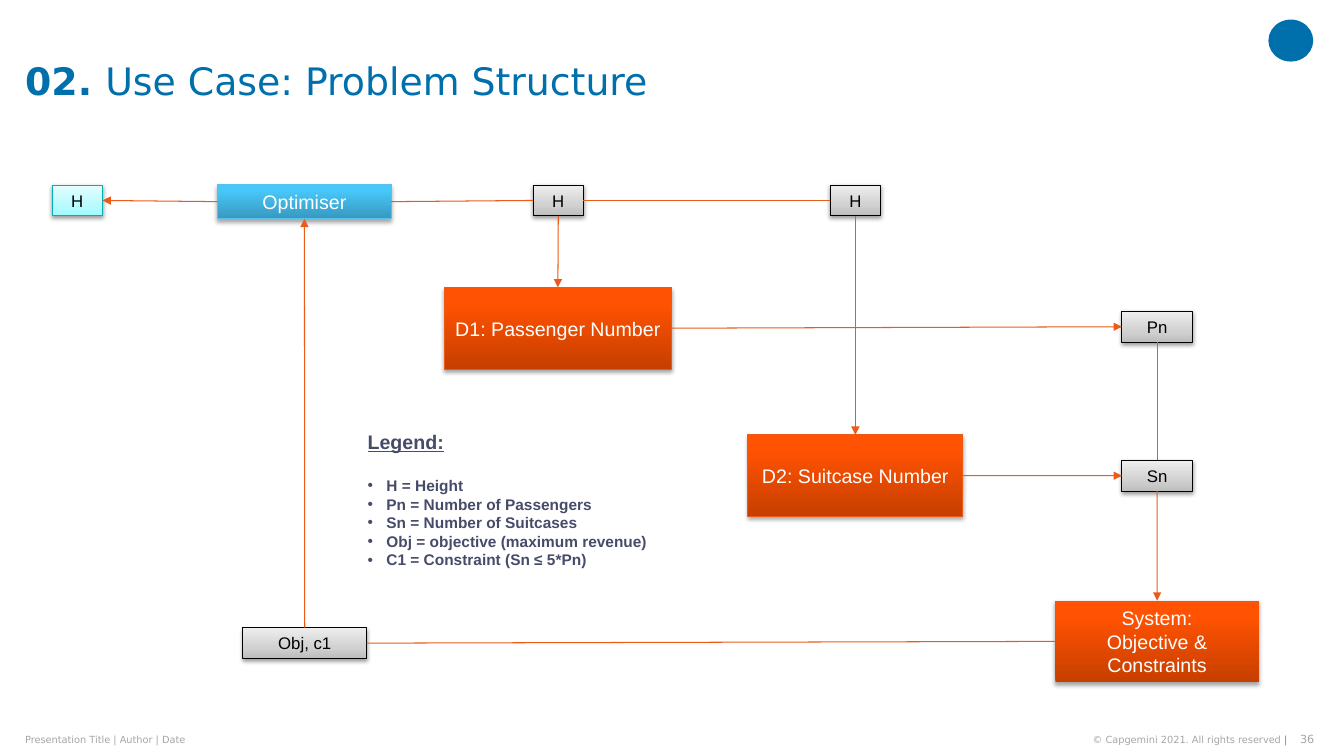
from dataclasses import dataclass

from lxml.etree import SubElement
from pptx import Presentation
from pptx.dml.color import RGBColor as RGB
from pptx.enum.shapes import MSO_CONNECTOR as Line, MSO_SHAPE as Shape
from pptx.enum.text import MSO_ANCHOR as Anchor, PP_ALIGN as Align
from pptx.oxml.ns import qn
from pptx.util import Pt

TOP, LEFT, BOTTOM, RIGHT = range(4)  # connection sites of a rectangle


@dataclass(frozen=True)
class NodeStyle:
    stops: tuple
    line: str
    text: str
    size: float
    shadow: tuple  # alpha %, blur, distance


@dataclass(frozen=True)
class Theme:
    head_font: str = "DejaVu Sans"
    body_font: str = "Arial"
    blue: str = "0070AD"
    sky: str = "12ABDB"
    grey: str = "A6A6A6"
    ink: str = "464B69"
    orange: str = "EB5B18"
    title: float = 27
    legend_head: float = 14
    legend: float = 11
    page: float = 8
    footer: float = 7


T = Theme()
BIG, SMALL = (35, 3.1, 1.8), (38, 3.1, 1.6)
ORANGE_STOPS = ((0, "C63F00"), (80, "FF5202"), (100, "FF5303"))
DISCIPLINE = NodeStyle(ORANGE_STOPS, T.orange, "FFFFFF", 14, BIG)
SYSTEM = NodeStyle(ORANGE_STOPS, "", "FFFFFF", 14, BIG)
OPTIMISER = NodeStyle(((0, "3798BF"), (80, "48C6F8"), (100, "45C8FD")),
                      "59C0E9", "FFFFFF", 14, BIG)
RESULT = NodeStyle(((0, "9DFAFF"), (35, "BAFBFF"), (100, "E5FDFF")),
                   "00B0B5", "000000", 12, SMALL)
VARIABLE = NodeStyle(((0, "BDBDBD"), (35, "D1D1D1"), (100, "EEEEEE")),
                     "000000", "000000", 12, SMALL)

VAR_H, DISC_H = 22, 58.3
H_Y, OUT_X = 132.2, 801.4
NODES = {
    "d1": (317.3, 205.3, 162.4, DISC_H, DISCIPLINE, ["D1: Passenger Number"]),
    "d2": (534.3, 310.6, 153.4, DISC_H, DISCIPLINE, ["D2: Suitcase Number"]),
    "system": (753.8, 429, 145.4, DISC_H, SYSTEM,
               ["System:", "Objective &", "Constraints"]),
    "optimiser": (155.5, 131.8, 123.9, 24.5, OPTIMISER, ["Optimiser"]),
    "h_best": (37.2, H_Y, 36, VAR_H, RESULT, ["H"]),
    "h_d1": (380.8, H_Y, 36, VAR_H, VARIABLE, ["H"]),
    "h_d2": (593, H_Y, 36, VAR_H, VARIABLE, ["H"]),
    "pn": (OUT_X, 222.4, 50.4, VAR_H, VARIABLE, ["Pn"]),
    "sn": (OUT_X, 328.8, 50.4, VAR_H, VARIABLE, ["Sn"]),
    "obj": (173.5, 448.4, 88.4, VAR_H, VARIABLE, ["Obj, c1"]),
}
# from node, its side, to node, its side, arrowhead
FLOWS = [
    ("optimiser", RIGHT, "h_d1", LEFT, False),
    ("h_d1", RIGHT, "h_d2", LEFT, False),
    ("pn", BOTTOM, "sn", TOP, False),
    ("optimiser", LEFT, "h_best", RIGHT, True),
    ("sn", BOTTOM, "system", TOP, True),
    ("d2", RIGHT, "sn", LEFT, True),
    ("h_d2", BOTTOM, "d2", TOP, True),
    ("d1", RIGHT, "pn", LEFT, True),
    ("h_d1", BOTTOM, "d1", TOP, True),
    ("obj", TOP, "optimiser", BOTTOM, True),
    ("system", LEFT, "obj", RIGHT, False),
]
LEGEND = ["H = Height", "Pn = Number of Passengers", "Sn = Number of Suitcases",
          "Obj = objective (maximum revenue)", "C1 = Constraint (Sn ≤ 5*Pn)"]


def set_all(obj, values):
    for name, value in values.items():
        setattr(obj, name, value)


def add_run(p, text, font, size, color, **fmt):
    r = p.add_run()
    r.text = text
    set_all(r.font, {"name": font, "size": Pt(size), **fmt})
    r.font.color.rgb = RGB.from_string(color)


def add_box(s, x, y, w, h, anchor=Anchor.MIDDLE, wrap=True):
    """Add a text box without margins and give back its text frame."""
    tf = s.shapes.add_textbox(Pt(x), Pt(y), Pt(w), Pt(h)).text_frame
    set_all(tf, {"margin_left": 0, "margin_right": 0, "margin_top": 0,
                 "margin_bottom": 0, "vertical_anchor": anchor, "word_wrap": wrap})
    return tf


def add_label(s, box, runs, align=Align.LEFT):
    p = add_box(s, *box).paragraphs[0]
    p.alignment = align
    for text, size, color, bold in runs:
        add_run(p, text, T.head_font, size, color, bold=bold)


def set_gradient(sp, stops):
    sp.fill.gradient()
    sp.fill.gradient_angle = 90
    gs_list = next(sp._element.iter(qn("a:gsLst")))
    for gs in list(gs_list):
        gs_list.remove(gs)
    for pos, color in stops:
        gs = SubElement(gs_list, qn("a:gs"), pos=str(pos * 1000))
        SubElement(gs, qn("a:srgbClr"), val=color)


def set_shadow(sp, alpha, blur, dist):
    sp.shadow.inherit = False
    effects = next(sp._element.iter(qn("a:effectLst")))
    outer = SubElement(effects, qn("a:outerShdw"), blurRad=str(Pt(blur)),
                       dist=str(Pt(dist)), dir="5400000", rotWithShape="0")
    color = SubElement(outer, qn("a:srgbClr"), val="000000")
    SubElement(color, qn("a:alpha"), val=str(alpha * 1000))


def add_node(s, x, y, w, h, style, lines):
    sp = s.shapes.add_shape(Shape.RECTANGLE, Pt(x), Pt(y), Pt(w), Pt(h))
    set_gradient(sp, style.stops)
    if style.line:
        sp.line.color.rgb = RGB.from_string(style.line)
        sp.line.width = Pt(0.75)
    else:
        sp.line.fill.background()
    set_shadow(sp, *style.shadow)
    tf = sp.text_frame
    set_all(tf, {"vertical_anchor": Anchor.MIDDLE, "word_wrap": False})
    for i, line in enumerate(lines):
        p = tf.add_paragraph() if i else tf.paragraphs[0]
        p.alignment = Align.CENTER
        add_run(p, line, T.body_font, style.size, style.text)
    return sp


def add_flow(s, start, start_side, end, end_side, arrow):
    c = s.shapes.add_connector(Line.STRAIGHT, 0, 0, 0, 0)
    c.begin_connect(start, start_side)
    c.end_connect(end, end_side)
    c.line.color.rgb = RGB.from_string(T.orange)
    c.line.width = Pt(0.75)
    if arrow:
        SubElement(c.line._get_or_add_ln(), qn("a:tailEnd"), type="triangle")
    SubElement(c._element.spPr, qn("a:effectLst"))


def add_legend(s):
    tf = add_box(s, 262.6, 307.2, 213, 100, Anchor.TOP)
    head = tf.paragraphs[0]
    add_run(head, "Legend:", T.body_font, T.legend_head, T.ink,
            bold=True, underline=True)
    for i, text in enumerate(LEGEND):
        p = tf.add_paragraph()
        p.line_spacing = Pt(13.3)
        p.space_before = Pt(0 if i else 16)
        pPr = p._p.get_or_add_pPr()
        pPr.set("marL", str(Pt(13.5)))
        pPr.set("indent", str(-Pt(13.5)))
        SubElement(pPr, qn("a:buFont"), typeface=T.body_font)
        SubElement(pPr, qn("a:buChar"), char="•")
        add_run(p, text, T.body_font, T.legend, T.ink, bold=True)


def add_brand_mark(s):
    sp = s.shapes.add_shape(Shape.OVAL, Pt(906), Pt(14), Pt(32), Pt(30))
    sp.shadow.inherit = False
    sp.fill.solid()
    sp.fill.fore_color.rgb = RGB.from_string(T.blue)
    sp.line.fill.background()


def main():
    prs = Presentation()
    set_all(prs, {"slide_width": Pt(960), "slide_height": Pt(540)})
    s = prs.slides.add_slide(prs.slide_layouts[6])
    add_brand_mark(s)
    foot_y, foot_h = 523.4, 9.4
    add_label(s, (925, foot_y, 13.9, foot_h, Anchor.MIDDLE, False),
              [("36", T.page, T.grey, False)], Align.RIGHT)
    add_label(s, (710, foot_y, 209.5, foot_h),
              [("© Capgemini 2021. All rights reserved ", T.footer, T.grey, False),
               ("|", T.footer, T.sky, False)], Align.RIGHT)
    add_label(s, (18, foot_y, 371.5, foot_h),
              [("Presentation Title | Author | Date", T.footer, T.grey, False)])
    add_label(s, (18, 39.7, 876, 36),
              [("02. ", T.title, T.blue, True),
               ("Use Case: Problem Structure", T.title, T.blue, False)])
    nodes = {name: add_node(s, *node) for name, node in NODES.items()}
    for start, start_side, end, end_side, arrow in FLOWS:
        add_flow(s, nodes[start], start_side, nodes[end], end_side, arrow)
    add_legend(s)
    prs.save("out.pptx")


if __name__ == "__main__":
    main()
